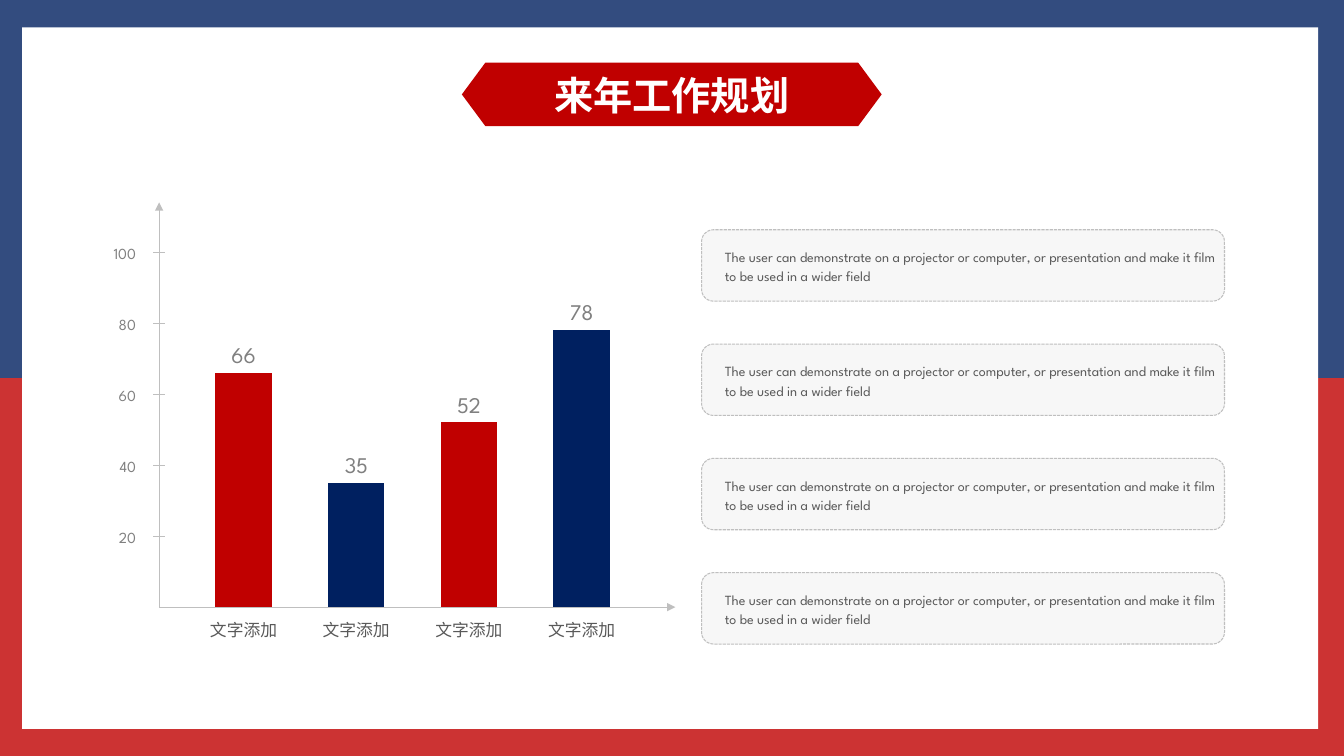
from dataclasses import dataclass

from pptx import Presentation
from pptx.chart import data as cd
from pptx.dml import color as col
from pptx.enum import chart as ch, dml, shapes, text
from pptx.oxml import parse_xml
from pptx.oxml import ns
from pptx.util import Cm, Pt


@dataclass(frozen=True)
class Theme:
    red: str = "C00000"
    navy: str = "002060"
    white: str = "FFFFFF"
    pale: str = "F7F7F7"
    rule: str = "BFBFBF"
    gray: str = "808080"
    dark: str = "595959"
    face: str = "League Spartan"
    han: str = "Noto Sans CJK SC"
    head: int = 28
    value: int = 16
    label: int = 12
    scale: int = 11
    body: int = 10


T = Theme()
WIDE, HIGH = 33.87, 19.05
LEFT, BASE = 4.01, 15.3
STEP, PITCH = 1.79, 2.84
NOTE = ("The user can demonstrate on a projector or computer, or presentation "
        "and make it film to be used in a wider field")
DATA = [("文字添加", n) for n in (66, 35, 52, 78)]


def rgb(code):
    return col.RGBColor.from_string(code)


def box(*dims):
    return [Cm(d) for d in dims]


def paint(fill, code):
    fill.solid()
    fill.fore_color.rgb = rgb(code)


def style(font, size, code, face=T.face, bold=False):
    font.size, font.name, font.bold = Pt(size), face, bold
    font.color.rgb = rgb(code)


def add_xml(host, tag, attrs=""):
    item = parse_xml(f'<a:{tag} {ns.nsdecls("a")} {attrs}/>')
    host.append(item)
    return item


def add_form(slide, kind, dims, code):
    form = slide.shapes.add_shape(kind, *box(*dims))
    form.shadow.inherit = False
    paint(form.fill, code)
    form.line.fill.background()
    return form


def add_frame(slide):
    kind = shapes.MSO_SHAPE.RECTANGLE
    half = HIGH / 2
    for row, code in enumerate((T.navy, T.red)):
        band = add_form(slide, kind, (0, row * half, WIDE, half), code)
        tint = band.element.spPr.find(".//" + ns.qn("a:srgbClr"))
        add_xml(tint, "alpha", 'val="80000"')
    add_form(slide, kind, (0.56, 0.69, 32.66, 17.68), T.white)


def add_title(slide, words):
    dims = (11.64, 1.58, 10.58, 1.6)
    flag = add_form(slide, shapes.MSO_SHAPE.HEXAGON, dims, T.red)
    flag.adjustments[0] = 0.37
    title = slide.shapes.title
    title.left, title.top, title.width, title.height = box(*dims)
    frame = title.text_frame
    frame.text = words
    frame.auto_size = text.MSO_AUTO_SIZE.NONE
    frame.vertical_anchor = text.MSO_ANCHOR.MIDDLE
    para = frame.paragraphs[0]
    para.alignment = text.PP_ALIGN.CENTER
    run = para.runs[0]
    style(run.font, T.head, T.white, T.han, True)
    add_xml(run.font._element, "ea", f'typeface="{T.han}"')
    slide.shapes.element.append(title.element)


def add_line(slide, ends, arrow=False):
    line = slide.shapes.add_connector(shapes.MSO_CONNECTOR.STRAIGHT, *box(*ends))
    line.line.color.rgb = rgb(T.rule)
    line.line.width = Pt(0.6)
    if arrow:
        add_xml(line.line._get_or_add_ln(), "tailEnd", 'type="triangle"')
    add_xml(line.element.spPr, "effectLst")


def add_scale(slide):
    add_line(slide, (LEFT, BASE, LEFT, 5.1), True)
    add_line(slide, (LEFT, BASE, 17.02, BASE), True)
    for step in range(1, 6):
        top = BASE - step * STEP
        add_line(slide, (LEFT - 0.15, top, LEFT + 0.15, top))
        mark = slide.shapes.add_textbox(*box(1.93, top - 0.35, 1.5, 0.76))
        frame = mark.text_frame
        frame.margin_left = frame.margin_right = 0
        frame.margin_top = frame.margin_bottom = 0
        frame.word_wrap = True
        frame.vertical_anchor = text.MSO_ANCHOR.MIDDLE
        frame.text = str(step * 20)
        para = frame.paragraphs[0]
        para.alignment = text.PP_ALIGN.RIGHT
        style(para.runs[0].font, T.scale, T.gray)


def set_plot(chart, share):
    area = chart.element.find(".//" + ns.qn("c:plotArea"))
    for old in area.findall(ns.qn("c:layout")):
        area.remove(old)
    sides = "".join(f'<c:{k} val="{v}"/>' for k, v in (
        ("layoutTarget", "inner"), ("xMode", "edge"), ("yMode", "edge"),
        ("x", 0), ("y", 0), ("w", 1), ("h", round(share, 4))))
    area.insert(0, parse_xml(
        f'<c:layout {ns.nsdecls("c")}><c:manualLayout>{sides}'
        '</c:manualLayout></c:layout>'))


def add_bars(slide):
    data = cd.CategoryChartData()
    data.categories = [name for name, _ in DATA]
    data.add_series("文字添加", [n for _, n in DATA])
    tall, foot = 6 * STEP, 1.5
    dims = (4.72, BASE - tall, len(DATA) * PITCH, tall + foot)
    chart = slide.shapes.add_chart(
        ch.XL_CHART_TYPE.COLUMN_CLUSTERED, *box(*dims), data).chart
    chart.has_legend = chart.has_title = False
    style(chart.font, T.label, T.dark)
    set_plot(chart, tall / (tall + foot))
    axis = chart.value_axis
    axis.minimum_scale, axis.maximum_scale = 0, 120
    axis.has_major_gridlines = axis.visible = False
    base = chart.category_axis
    base.format.line.fill.background()
    base.major_tick_mark = ch.XL_TICK_MARK.OUTSIDE
    style(base.tick_labels.font, T.label, T.dark)
    plot = chart.plots[0]
    plot.gap_width, plot.vary_by_categories = 100, False
    plot.has_data_labels = True
    tags = plot.data_labels
    tags.show_value = True
    tags.position = ch.XL_LABEL_POSITION.OUTSIDE_END
    style(tags.font, T.value, T.gray)
    for spot in range(len(DATA)):
        point = plot.series[0].points[spot]
        paint(point.format.fill, (T.red, T.navy)[spot % 2])


def add_card(slide, row):
    dims = (17.68, 5.79 + row * 2.88, 13.18, 1.8)
    card = add_form(slide, shapes.MSO_SHAPE.ROUNDED_RECTANGLE, dims, T.pale)
    card.line.color.rgb = rgb(T.rule)
    card.line.width = Pt(0.75)
    card.line.dash_style = dml.MSO_LINE.SQUARE_DOT
    frame = card.text_frame
    frame.word_wrap = True
    frame.margin_left, frame.margin_right = box(0.5, 0.15)
    frame.vertical_anchor = text.MSO_ANCHOR.MIDDLE
    frame.text = NOTE
    para = frame.paragraphs[0]
    para.alignment = text.PP_ALIGN.LEFT
    para.line_spacing = 1.14
    style(para.runs[0].font, T.body, T.dark)


def main():
    deck = Presentation()
    deck.slide_width, deck.slide_height = box(WIDE, HIGH)
    slide = deck.slides.add_slide(deck.slide_layouts[5])
    add_frame(slide)
    for row in range(4):
        add_card(slide, row)
    add_bars(slide)
    add_scale(slide)
    add_title(slide, "来年工作规划")
    deck.save("out.pptx")


main()
